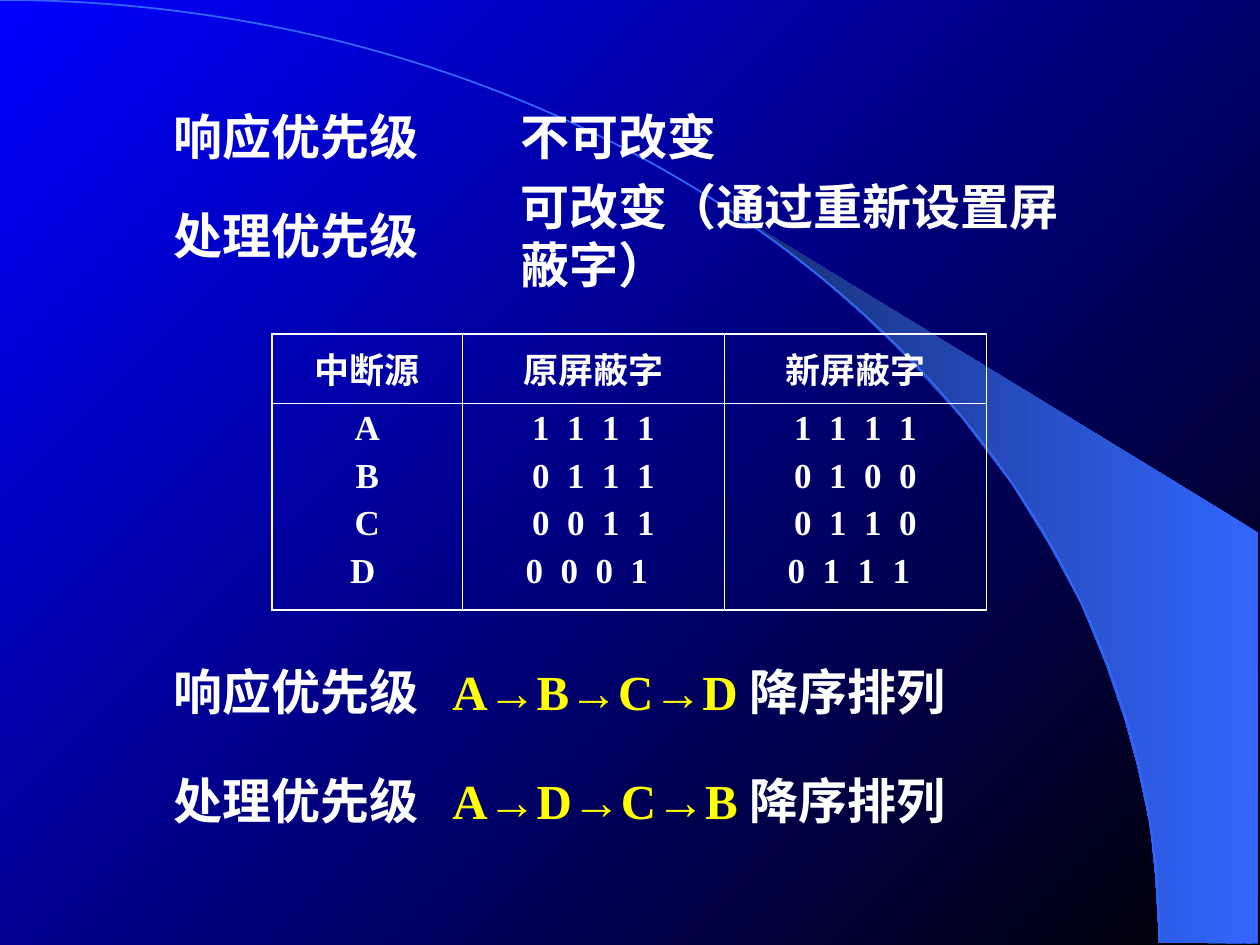
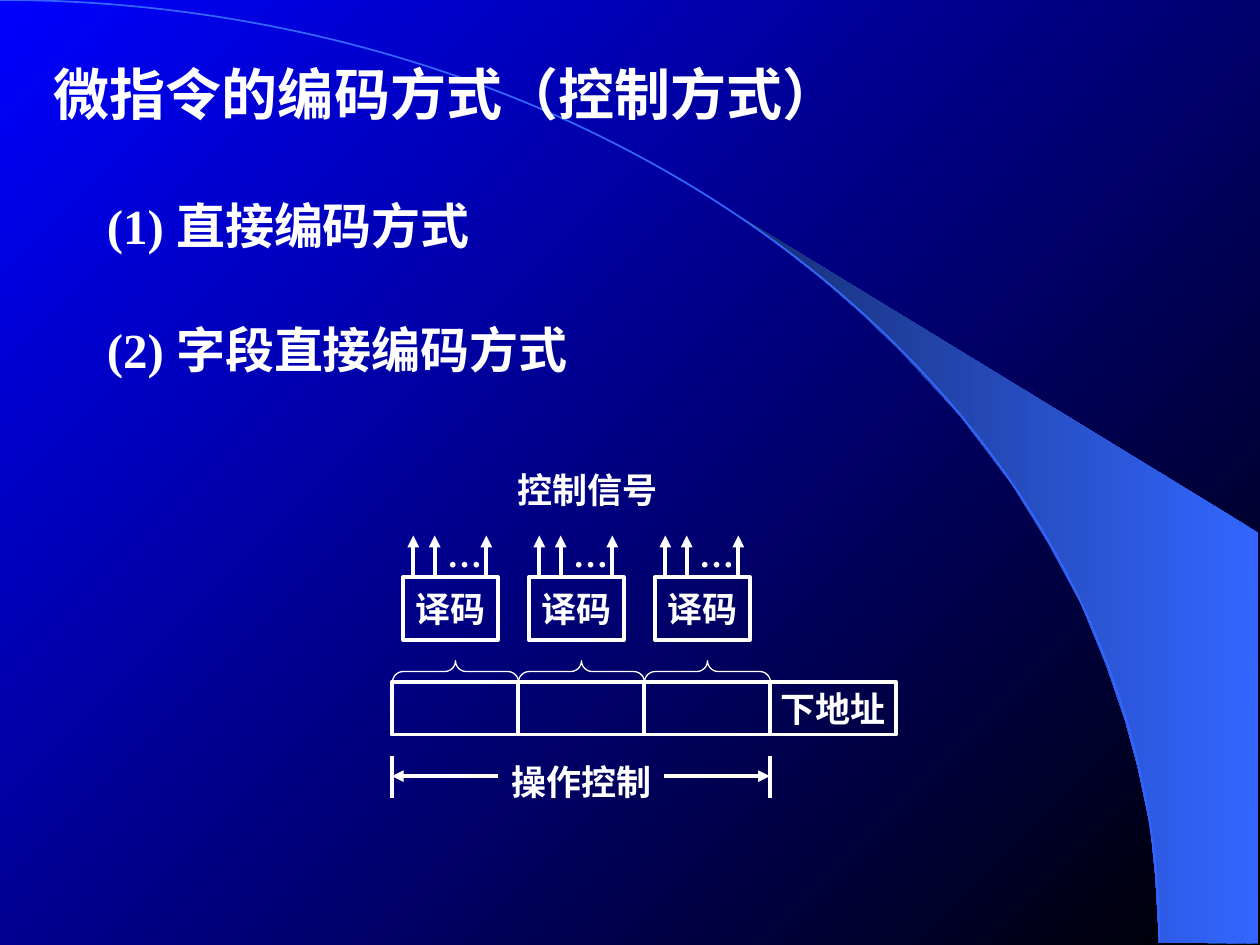
"""Build two slides on interrupt mask words and microinstruction encoding."""
from lxml import etree
from pptx import Presentation
from pptx.dml.color import RGBColor
from pptx.enum.shapes import MSO_CONNECTOR, MSO_SHAPE
from pptx.enum.text import MSO_ANCHOR, PP_ALIGN
from pptx.oxml.ns import qn
from pptx.util import Inches, Pt

STRAIGHT = MSO_CONNECTOR.STRAIGHT
RECT, ARC, BRACE = MSO_SHAPE.RECTANGLE, MSO_SHAPE.ARC, MSO_SHAPE.LEFT_BRACE
MIDDLE, TOP = MSO_ANCHOR.MIDDLE, MSO_ANCHOR.TOP
CENTER = PP_ALIGN.CENTER
SERIF, SANS = "Times New Roman", "DejaVu Sans"
COLORS = {
    "white": "FFFFFF",
    "yellow": "FFFF00",
    "black": "000000",
    "blue": "0000FF",
    "arc": "3366FF",
    "wedge_dark": "172F75",
}
RGB = {name: RGBColor.from_string(value) for name, value in COLORS.items()}


def write(p, size, *runs):
    """Add bold runs, each given as text, colour name and font."""
    for text, color, font in runs:
        r = p.add_run()
        r.text = text
        r.font.size = Pt(size)
        r.font.bold = True
        r.font.name = font
        r.font.color.rgb = RGB[color]


def line(s, x1, y1, x2, y2, arrow=False):
    """Draw a white line, with an arrowhead at its end if asked."""
    c = s.shapes.add_connector(STRAIGHT, Inches(x1), Inches(y1), Inches(x2), Inches(y2))
    c.line.color.rgb = RGB["white"]
    c.line.width = Pt(2.25)
    if arrow:
        etree.SubElement(c.line._get_or_add_ln(), qn("a:tailEnd"), type="triangle")
    etree.SubElement(c._element.spPr, qn("a:effectLst"))


prs = Presentation()
prs.slide_width, prs.slide_height = Inches(10), Inches(7.5)
blank = prs.slide_layouts[6]

wedge_points = [
    (9.2, 7.48), (9.99, 7.49), (9.99, 4.23), (5.89, 1.73), (6.24, 1.99), (6.53, 2.22),
    (6.85, 2.5), (7.16, 2.8), (7.62, 3.3), (8.03, 3.84), (8.32, 4.31), (8.58, 4.79),
    (8.78, 5.28), (8.93, 5.72), (9.03, 6.09), (9.13, 6.56), (9.17, 6.96),
]
wedge_emu = [(Inches(x), Inches(y)) for x, y in wedge_points]
slides = [prs.slides.add_slide(blank) for _ in range(2)]
for s in slides:
    builder = s.shapes.build_freeform(*wedge_emu[0])
    builder.add_line_segments(wedge_emu[1:], close=True)
    wedge = builder.convert_to_shape()
    wedge.line.fill.background()
    wedge.shadow.inherit = False
    gradients = [
        (s.background.fill, 135, ("black", "blue")),
        (wedge.fill, 180, ("arc", "wedge_dark")),
    ]
    for fill, angle, names in gradients:
        fill.gradient()
        fill.gradient_angle = angle
        for stop, name in zip(fill.gradient_stops, names):
            stop.color.rgb = RGB[name]
    arc = s.shapes.add_shape(ARC, Inches(-9.2), 0, Inches(18.4), Inches(14.97))
    arc.fill.background()
    arc.line.color.rgb = RGB["arc"]
    arc.line.width = Pt(1)
    arc.shadow.inherit = False

s = slides[0]
priority_lines = [
    (1.38, 0.84, 2.34, [("响应优先级", "white", SERIF)]),
    (4.13, 0.84, 2.34, [("不可改变", "white", SERIF)]),
    (1.38, 1.63, 2.34, [("处理优先级", "white", SERIF)]),
    (4.13, 1.63, 4.41, [("可改变（通过重新设置屏蔽字）", "white", SERIF)]),
]
orders = [(5.25, 6.93, "响应优先级", "A→B→C→D "), (6.11, 7.17, "处理优先级", "A→D→C→B ")]
for top, width, label, order in orders:
    runs = [(label + "\t", "white", SERIF), (order, "yellow", SERIF), ("降序排列", "white", SERIF)]
    priority_lines.append((1.38, top, width, runs))
for left, top, width, runs in priority_lines:
    sp = s.shapes.add_textbox(Inches(left), Inches(top), Inches(width), Inches(0.47))
    tf = sp.text_frame
    tf.word_wrap = False
    tf.vertical_anchor = MIDDLE
    tf.margin_left = tf.margin_right = tf.margin_top = tf.margin_bottom = 0
    p = tf.paragraphs[0]
    if len(runs) > 1:
        tabs = etree.SubElement(p._p.get_or_add_pPr(), qn("a:tabLst"))
        etree.SubElement(tabs, qn("a:tab"), pos=str(Inches(2.21)), algn="l")
    write(p, 28, *runs)

mask_rows = [
    [["中断源"], ["原屏蔽字"], ["新屏蔽字"]],
    [
        ["A", "B", "C", "D "],
        ["1 1 1 1", "0 1 1 1", "0 0 1 1", "0 0 0 1 "],
        ["1 1 1 1", "0 1 0 0", "0 1 1 0", "0 1 1 1 "],
    ],
]
table = s.shapes.add_table(2, 3, Inches(2.16), Inches(2.65), Inches(5.67), Inches(2.12)).table
table.first_row = table.horz_banding = False
for col, width in zip(table.columns, (1.51, 2.08, 2.08)):
    col.width = Inches(width)
for row, height in zip(table.rows, (0.55, 1.57)):
    row.height = Inches(height)
for i, row in enumerate(mask_rows):
    for j, texts in enumerate(row):
        cell = table.cell(i, j)
        tcPr = cell._tc.get_or_add_tcPr()
        outer_sides = {"lnL": j == 0, "lnR": j == 2, "lnT": i == 0, "lnB": i == 1}
        for side, outer in outer_sides.items():
            ln = etree.SubElement(tcPr, qn("a:" + side), w=str(Pt(1.08 if outer else 0.45)))
            solid = etree.SubElement(ln, qn("a:solidFill"))
            etree.SubElement(solid, qn("a:srgbClr"), val=COLORS["white"])
        cell.fill.background()
        cell.vertical_anchor = MIDDLE if i == 0 else TOP
        tf = cell.text_frame
        for k, text in enumerate(texts):
            p = tf.add_paragraph() if k else tf.paragraphs[0]
            p.alignment = CENTER
            if k:
                p.space_before = Pt(5)
            write(p, 20, (text, "white", SERIF))
            if i and j:
                p.runs[0]._r.get_or_add_rPr().set("spc", "250")

s = slides[1]
rects = [(6.11, 5.41, 1, 0.42, "下地址")]
labels = [
    (0.33, 0.42, 6.87, 0.64, True, 32, [("微指令的编码方式（控制方式）", "white", SANS)]),
    (3.96, 5.99, 1.31, 0.44, False, 20, [("操作控制", "white", SERIF)]),
    (4.01, 3.67, 1.31, 0.44, False, 20, [("控制信号", "white", SERIF)]),
]
for top, number, method in ((1.5, "(1) ", "直接编码方式"), (2.49, "(2) ", "字段直接编码方式")):
    runs = [(number, "white", SERIF), (method, "white", SANS)]
    labels.append((0.75, top, 7.72, 0.57, True, 28, runs))

for field in range(3):
    x = 3.11 + field
    rects += [(x + 0.09, 4.58, 0.75, 0.5, "译码"), (x, 5.41, 1, 0.42, "")]
    labels.append((x + 0.34, 4.18, 0.48, 0.44, False, 20, [("…", "white", SERIF)]))
    for dx in (0.17, 0.34, 0.75):
        line(s, x + dx, 4.58, x + dx, 4.25, arrow=True)
    brace = s.shapes.add_shape(BRACE, Inches(x + 0.42), Inches(4.83), Inches(0.17), Inches(1))
    brace.rotation = 90
    brace.adjustments[0] = 0.5
    brace.fill.background()
    brace.line.color.rgb = RGB["white"]
    brace.line.width = Pt(0.75)
    brace.shadow.inherit = False

for left, top, width, height, text in rects:
    sp = s.shapes.add_shape(RECT, Inches(left), Inches(top), Inches(width), Inches(height))
    sp.fill.background()
    sp.line.color.rgb = RGB["white"]
    sp.line.width = Pt(2.25)
    sp.shadow.inherit = False
    if text:
        tf = sp.text_frame
        tf.word_wrap = False
        tf.vertical_anchor = MIDDLE
        tf.paragraphs[0].alignment = CENTER
        write(tf.paragraphs[0], 20, (text, "white", SERIF))

for left, top, width, height, wrap, size, runs in labels:
    sp = s.shapes.add_textbox(Inches(left), Inches(top), Inches(width), Inches(height))
    sp.text_frame.word_wrap = wrap
    write(sp.text_frame.paragraphs[0], size, *runs)

for edge, inner in ((3.11, 3.95), (6.11, 5.27)):
    line(s, edge, 6, edge, 6.33)
    line(s, inner, 6.16, edge, 6.16, arrow=True)

prs.save("out.pptx")
